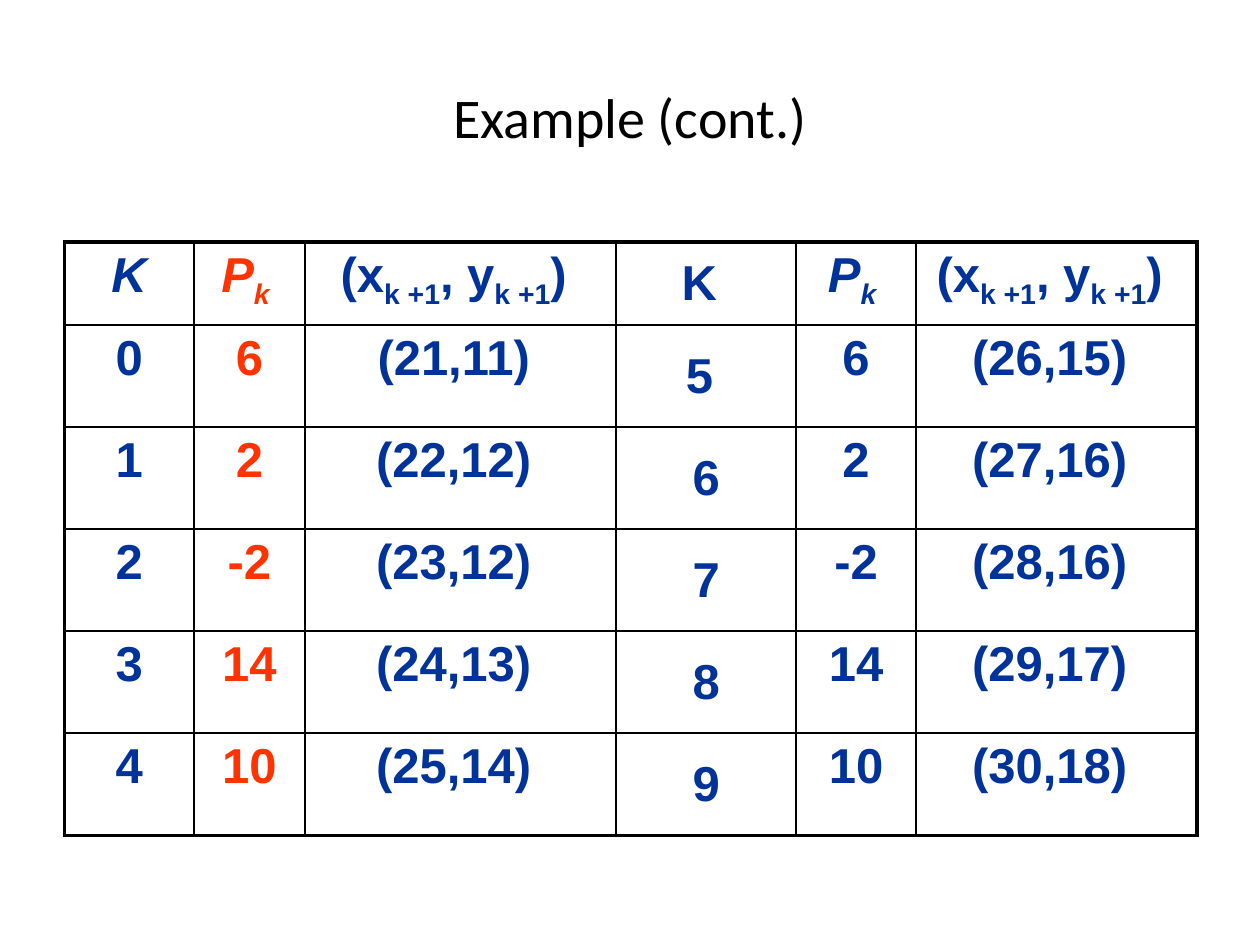
from lxml import etree
from pptx import Presentation
from pptx.dml.color import RGBColor
from pptx.enum.text import MSO_ANCHOR, PP_ALIGN
from pptx.oxml.ns import qn
from pptx.util import Inches, Pt

CENTER = PP_ALIGN.CENTER
TOP, MIDDLE = MSO_ANCHOR.TOP, MSO_ANCHOR.MIDDLE

COLORS = {"title": "000000", "border": "000000", "value": "003399", "accent": "FF3300"}
SLIDE_W, SLIDE_H = 10, 7.5
COLUMN_WIDTHS = [1.03, 0.88, 2.47, 1.43, 0.95, 2.23]
HEADER_HEIGHT, STEP_HEIGHT = 0.66, 0.81
OUTER_PT, INNER_PT = 2.25, 1
ACCENT_COLUMN, SECOND_K_COLUMN = 1, 3
ITALIC_HEADERS = {0, 1, 4}

# Within a cell, every second piece is a subscript.
POINT_HEADER = ["(x", "k +1", ", y", "k +1", ") "]
HEADERS = [["K"], ["P", "k "], POINT_HEADER, ["K "], ["P", "k "], POINT_HEADER]
STEPS = [
    ["0", "6", "(21,11) ", "5 ", "6", "(26,15) "],
    ["1", "2", "(22,12) ", "6", "2", "(27,16) "],
    ["2", "-2", "(23,12) ", "7", "-2", "(28,16) "],
    ["3", "14", "(24,13) ", "8", "14", "(29,17) "],
    ["4", "10", "(25,14) ", "9", "10", "(30,18) "],
]


def style_font(font, name, size, color):
    font.name = name
    font.size = Pt(size)
    font.color.rgb = RGBColor.from_string(COLORS[color])


def add_title(slide, text):
    box = slide.shapes.add_textbox(
        Inches(0.05 * SLIDE_W), Inches(0.04 * SLIDE_H), Inches(0.9 * SLIDE_W), Inches(1.25)
    )
    frame = box.text_frame
    frame.word_wrap = True
    frame.vertical_anchor = MIDDLE
    frame.text = text
    title = frame.paragraphs[0]
    title.alignment = CENTER
    style_font(title.runs[0].font, "Calibri", 32, "title")


def set_borders(cell, widths):
    """Draw the cell's sides; widths maps L, R, T and B, in that order, to points."""
    properties = cell._tc.get_or_add_tcPr()
    for side, width in widths.items():
        line = etree.SubElement(properties, qn(f"a:ln{side}"), w=str(Pt(width)))
        fill = etree.SubElement(line, qn("a:solidFill"))
        etree.SubElement(fill, qn("a:srgbClr"), val=COLORS["border"])


def fill_cell(cell, pieces, color, italic, anchor):
    cell.fill.background()
    cell.vertical_anchor = anchor
    paragraph = cell.text_frame.paragraphs[0]
    paragraph.alignment = CENTER
    for index, piece in enumerate(pieces):
        run = paragraph.add_run()
        run.text = piece
        style_font(run.font, "Arial", 28, color)
        run.font.bold = True
        run.font.italic = italic
        if index % 2:
            run.font._element.set("baseline", "-25000")


def add_steps_table(slide):
    rows = [HEADERS] + [[[value] for value in step] for step in STEPS]
    heights = [HEADER_HEIGHT] + [STEP_HEIGHT] * len(STEPS)
    last_row, last_column = len(rows) - 1, len(COLUMN_WIDTHS) - 1
    table = slide.shapes.add_table(
        len(rows), len(COLUMN_WIDTHS), Inches(0.51), Inches(1.92),
        Inches(sum(COLUMN_WIDTHS)), Inches(sum(heights)),
    ).table
    table.first_row = table.horz_banding = False
    for column, width in zip(table.columns, COLUMN_WIDTHS):
        column.width = Inches(width)
    for row, height in zip(table.rows, heights):
        row.height = Inches(height)

    for r, row in enumerate(rows):
        for c, pieces in enumerate(row):
            cell = table.cell(r, c)
            on_edge = {"L": c == 0, "R": c == last_column, "T": r == 0, "B": r == last_row}
            set_borders(cell, {s: OUTER_PT if edge else INNER_PT for s, edge in on_edge.items()})
            fill_cell(
                cell, pieces,
                color="accent" if c == ACCENT_COLUMN else "value",
                italic=r == 0 and c in ITALIC_HEADERS,
                anchor=MIDDLE if c == SECOND_K_COLUMN else TOP,
            )


def main():
    presentation = Presentation()
    presentation.slide_width = Inches(SLIDE_W)
    presentation.slide_height = Inches(SLIDE_H)
    slide = presentation.slides.add_slide(presentation.slide_layouts[6])
    add_title(slide, "Example (cont.)")
    add_steps_table(slide)
    presentation.save("out.pptx")


if __name__ == "__main__":
    main()
